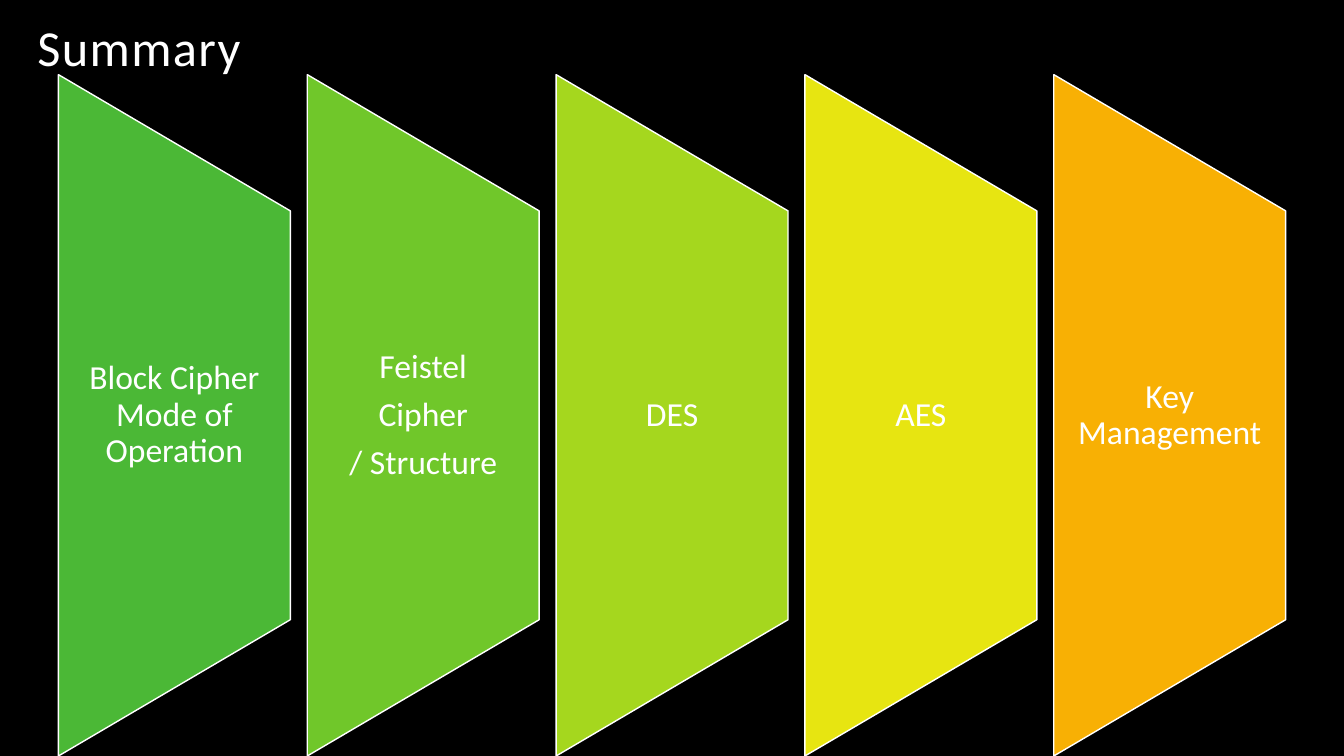
from dataclasses import dataclass

from pptx import Presentation
from pptx.dml.color import RGBColor
from pptx.enum.shapes import MSO_SHAPE
from pptx.enum.text import MSO_ANCHOR, MSO_AUTO_SIZE, PP_ALIGN
from pptx.util import Inches, Pt

BLADE = MSO_SHAPE.FLOWCHART_MANUAL_OPERATION
LEFT, CENTER = PP_ALIGN.LEFT, PP_ALIGN.CENTER
BOTTOM, MIDDLE = MSO_ANCHOR.BOTTOM, MSO_ANCHOR.MIDDLE
FIXED_SIZE = MSO_AUTO_SIZE.NONE

TITLE = "Summary"
TOPICS = [
    (["Block Cipher Mode of Operation"], "4BB836"),
    (["Feistel", "Cipher", "/ Structure"], "70C72A"),
    (["DES"], "A5D71E"),
    (["AES"], "E7E511"),
    (["Key Management"], "F8B004"),
]


@dataclass(frozen=True)
class Theme:
    font: str = "Calibri"
    background: str = "000000"
    text: str = "FFFFFF"
    outline: str = "FFFFFF"
    title_size: float = 36
    topic_size: float = 24


THEME = Theme()
SLIDE_WIDTH, SLIDE_HEIGHT = 13.33, 7.5
PANEL_LEFT, PANEL_TOP = 0.58, 0.74
PANEL_WIDTH, PANEL_HEIGHT = 2.3, SLIDE_HEIGHT - PANEL_TOP
PANEL_STEP = 2.468
LABEL_SHARE = 0.6


def color(value):
    return RGBColor.from_string(value)


def write(shape, lines, size, align=LEFT, anchor=MIDDLE, inset=0.1, space_after=0, tracking=0):
    frame = shape.text_frame
    frame.word_wrap = True
    frame.auto_size = FIXED_SIZE
    frame.vertical_anchor = anchor
    frame.margin_left = frame.margin_right = Inches(inset)
    frame.margin_top = frame.margin_bottom = Inches(0.05 if anchor == BOTTOM else 0)
    for index, line in enumerate(lines):
        paragraph = frame.paragraphs[0] if index == 0 else frame.add_paragraph()
        paragraph.alignment = align
        paragraph.line_spacing = 0.9
        paragraph.space_after = Pt(space_after)
        run = paragraph.add_run()
        run.text = line
        run.font.name = THEME.font
        run.font.size = Pt(size)
        run.font.color.rgb = color(THEME.text)
        if tracking:
            run.font._element.set("spc", str(tracking * 100))


def add_panel(slide, column, lines, fill):
    left = PANEL_LEFT + column * PANEL_STEP
    center_x, center_y = left + PANEL_WIDTH / 2, PANEL_TOP + PANEL_HEIGHT / 2
    # The blade is turned a quarter, so its own width runs down the slide.
    blade = slide.shapes.add_shape(
        BLADE,
        Inches(center_x - PANEL_HEIGHT / 2), Inches(center_y - PANEL_WIDTH / 2),
        Inches(PANEL_HEIGHT), Inches(PANEL_WIDTH),
    )
    blade.rotation = 270
    blade.shadow.inherit = False
    blade.fill.solid()
    blade.fill.fore_color.rgb = color(fill)
    blade.line.color.rgb = color(THEME.outline)
    blade.line.width = Pt(1)

    label_height = PANEL_HEIGHT * LABEL_SHARE
    label = slide.shapes.add_textbox(
        Inches(left), Inches(center_y - label_height / 2),
        Inches(PANEL_WIDTH), Inches(label_height),
    )
    write(label, lines, THEME.topic_size, align=CENTER, inset=0.17,
          space_after=0.35 * THEME.topic_size)


def main():
    presentation = Presentation()
    presentation.slide_width = Inches(SLIDE_WIDTH)
    presentation.slide_height = Inches(SLIDE_HEIGHT)
    slide = presentation.slides.add_slide(presentation.slide_layouts.get_by_name("Title Only"))
    slide.background.fill.solid()
    slide.background.fill.fore_color.rgb = color(THEME.background)

    title = slide.shapes.title
    title.left, title.top = Inches(0.27), Inches(-0.68)
    title.width, title.height = Inches(10), Inches(1.5)
    write(title, [TITLE], THEME.title_size, anchor=BOTTOM, tracking=1)

    for column, (lines, fill) in enumerate(TOPICS):
        add_panel(slide, column, lines, fill)
    presentation.save("out.pptx")


if __name__ == "__main__":
    main()
